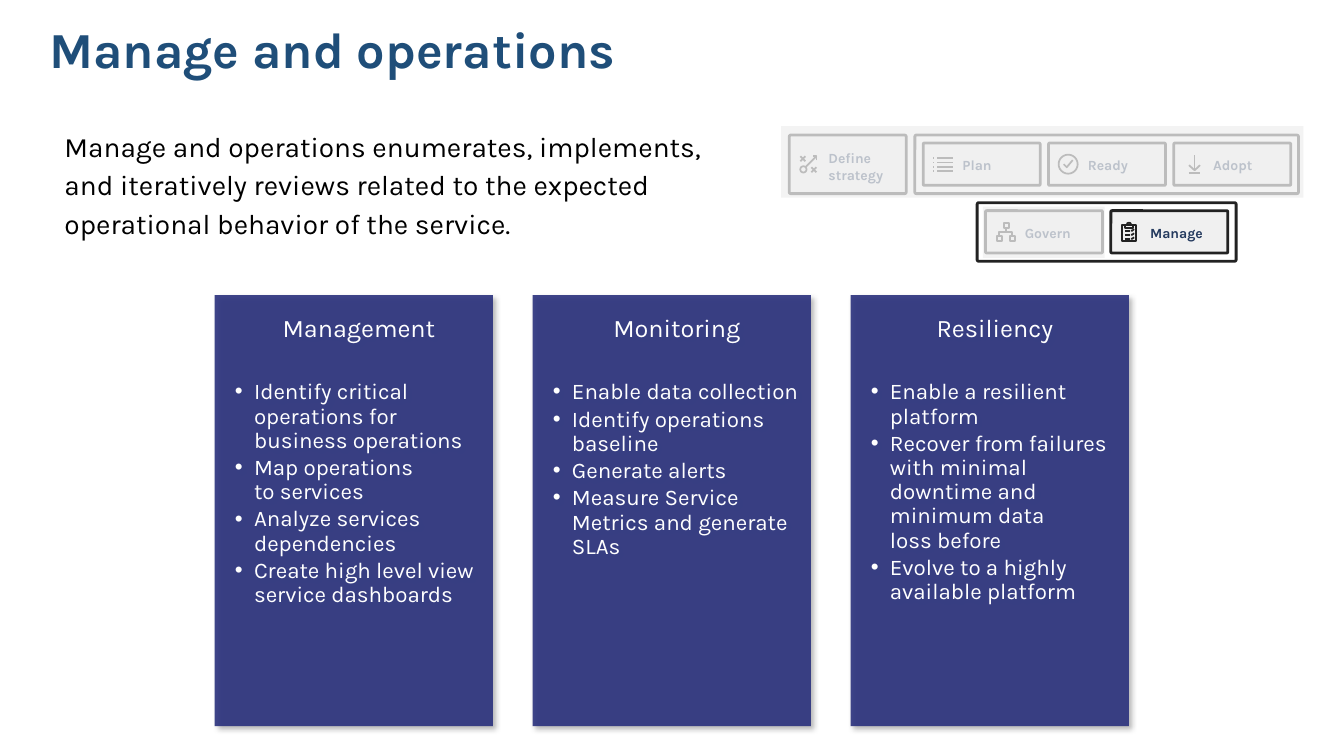
"""Build the "Manage and operations" slide."""
import math

from lxml import etree
from pptx import Presentation
from pptx.dml.color import RGBColor
from pptx.enum.shapes import MSO_SHAPE
from pptx.enum.text import MSO_ANCHOR, MSO_AUTO_SIZE, PP_ALIGN
from pptx.oxml.ns import qn
from pptx.util import Pt

RECTANGLE = MSO_SHAPE.RECTANGLE
ROUNDED = MSO_SHAPE.ROUNDED_RECTANGLE
TOP, MIDDLE = MSO_ANCHOR.TOP, MSO_ANCHOR.MIDDLE
LEFT, CENTER = PP_ALIGN.LEFT, PP_ALIGN.CENTER
NO_FIT, GROW = MSO_AUTO_SIZE.NONE, MSO_AUTO_SIZE.SHAPE_TO_FIT_TEXT

BLACK = RGBColor(0x00, 0x00, 0x00)
WHITE = RGBColor(0xFF, 0xFF, 0xFF)
TITLE_BLUE = RGBColor(0x1F, 0x4E, 0x79)
CARD_BLUE = RGBColor(0x2A, 0x31, 0x7D)
LABEL_BLUE = RGBColor(0x24, 0x3A, 0x5E)
TILE_GREY = RGBColor(0xF0, 0xF0, 0xF0)
OUTLINE = RGBColor(0x22, 0x22, 0x22)

TILE_WIDTH, TILE_HEIGHT, FRAME_HEIGHT = 83.5, 30.2, 41.8
TILE_PITCH = 89.5

CARDS = [
    ("Management", ["Identify critical operations for\vbusiness operations",
                    "Map operations\vto services",
                    "Analyze services dependencies",
                    "Create high level view service dashboards"]),
    ("Monitoring", ["Enable data collection",
                    "Identify operations baseline",
                    "Generate alerts",
                    "Measure Service Metrics and generate SLAs"]),
    ("Resiliency", ["Enable a resilient platform",
                    "Recover from failures with minimal downtime and\v"
                    "minimum data\vloss before",
                    "Evolve to a highly available platform"]),
]


def circle(x, y, radius):
    """Return a closed ring of points."""
    angles = [math.radians(15 * step) for step in range(25)]
    return [(x + radius * math.cos(a), y + radius * math.sin(a)) for a in angles]


def box(x, y, width, height):
    """Return the closed outline of a box."""
    return [(x, y), (x + width, y), (x + width, y + height), (x, y + height), (x, y)]


def cross(x, y, size):
    """Return the two strokes of a cross."""
    return [[(x, y), (x + size, y + size)], [(x + size, y), (x, y + size)]]


STRATEGY_ICON = [*cross(7.9, 15.1, 3.6), *cross(15.8, 23, 3.6), circle(10.1, 24.5, 2.2),
                 [(11.5, 23), (19.4, 15.1)], [(19.4, 18), (19.4, 15.1), (17.3, 15.1)]]
PLAN_ICON = [[(start, 10.8 + 3.1 * row), (end, 10.8 + 3.1 * row)]
             for row in range(4) for start, end in ((10.1, 20.9), (7.2, 7.9))]
READY_ICON = [circle(14, 15.1, 6.8), [(10.8, 15.1), (13, 17.3), (17.3, 12.2)]]
ADOPT_ICON = [[(18.7, 15.8), (14.8, 19.4), (10.8, 15.8)],
              [(14.8, 19.4), (14.8, 8.6)], [(10.8, 21.6), (18.7, 21.6)]]
GOVERN_ICON = [box(7.9, 18, 3.6, 3.6), box(17.3, 18, 3.6, 3.6), box(13, 8.6, 3.6, 3.6),
               [(14.8, 12.2), (14.8, 15.1)],
               [(19.1, 18), (19.1, 15.1), (9.7, 15.1), (9.7, 18)]]
MANAGE_ICON = [box(10.1, 10.1, 5.7, 2.1),
               [(11.5, 10.1), (11.8, 8.9), (13, 8.6), (14.1, 8.9), (14.4, 10.1)],
               [(10.1, 10.1), (7.9, 10.1), (7.9, 21.6), (18, 21.6), (18, 10.1), (15.8, 10.1)]]
for check_y in (14.4, 17.3, 20.2):
    MANAGE_ICON += [[(10.1, check_y), (13.7, check_y)],
                    [(14.4, check_y - 0.4), (15.1, check_y), (16.6, check_y - 1.2)]]


class SlideBuilder:
    """Hold the style and the slide, and draw each kind of element."""

    font_name = "Karla"

    def __init__(self, slide):
        self.slide = slide

    def apply(self, target, values):
        """Set each named value on the target."""
        for name, value in values.items():
            setattr(target, name, value)

    def fill_paragraph(self, paragraph, text, size, color, bold=False, **values):
        """Fill a paragraph with styled text."""
        paragraph.text = text
        self.apply(paragraph, values)
        for run in paragraph.runs:
            self.apply(run.font, {"name": self.font_name, "size": Pt(size), "bold": bold})
            run.font.color.rgb = color
        for line_break in paragraph._p.findall(qn("a:br")):
            etree.SubElement(line_break, qn("a:rPr"), sz=str(size * 100))

    def frame(self, shape, insets, anchor=TOP, auto_size=NO_FIT):
        """Prepare the text frame of a shape."""
        left, top, right, bottom = map(Pt, insets)
        self.apply(shape.text_frame, {
            "word_wrap": True, "auto_size": auto_size, "vertical_anchor": anchor,
            "margin_left": left, "margin_top": top,
            "margin_right": right, "margin_bottom": bottom})
        return shape.text_frame

    def text(self, bounds, insets, text, size, color, anchor=TOP, auto_size=GROW, **values):
        """Add a text box with one paragraph."""
        shape = self.slide.shapes.add_textbox(*map(Pt, bounds))
        frame = self.frame(shape, insets, anchor, auto_size)
        self.fill_paragraph(frame.paragraphs[0], text, size, color, **values)

    def block(self, kind, bounds, fill=None, opacity=100, outlined=False):
        """Add a preset shape."""
        shape = self.slide.shapes.add_shape(kind, *map(Pt, bounds))
        shape.shadow.inherit = False
        if kind == ROUNDED:
            shape.adjustments[0] = 0.025
        if fill is None:
            shape.fill.background()
        else:
            shape.fill.solid()
            shape.fill.fore_color.rgb = fill
        if opacity < 100:
            color = shape._element.spPr.find(qn("a:solidFill"))[0]
            etree.SubElement(color, qn("a:alpha"), val=str(opacity * 1000))
        if outlined:
            self.outline(shape, 2)
        else:
            shape.line.fill.background()
        return shape

    def outline(self, shape, width):
        """Give a shape the dark outline."""
        shape.line.color.rgb = OUTLINE
        shape.line.width = Pt(width)

    def icon(self, left, top, strokes):
        """Draw strokes as one unfilled freeform."""
        placed = [[(Pt(left + x), Pt(top + y)) for x, y in stroke] for stroke in strokes]
        builder = self.slide.shapes.build_freeform(*placed[0][0], scale=1.0)
        builder.add_line_segments(placed[0][1:], close=False)
        for stroke in placed[1:]:
            builder.move_to(*stroke[0])
            builder.add_line_segments(stroke[1:], close=False)
        shape = builder.convert_to_shape()
        shape.shadow.inherit = False
        shape.fill.background()
        self.outline(shape, 1.25)

    def tile(self, left, top, label, strokes, height=TILE_HEIGHT, lines=1):
        """Add a tile with its icon and label."""
        self.block(ROUNDED, (left, top, TILE_WIDTH, height), TILE_GREY, outlined=True)
        self.icon(left, top, strokes)
        label_height = 10.8 * lines
        label_top = top + (height - label_height) / 2 + 0.2
        self.text((left - 0.8, label_top, 85, label_height), (28.8, 0, 0, 0),
                  label, 10, LABEL_BLUE, bold=True)

    def card(self, left, heading, points):
        """Add a card with a heading and bullets."""
        shape = self.block(RECTANGLE, (left, 210.8, 198.7, 307.8), CARD_BLUE, opacity=90)
        effects = shape._element.spPr.find(qn("a:effectLst"))
        shadow = etree.SubElement(effects, qn("a:outerShdw"), blurRad=str(Pt(4)),
                                  dist=str(Pt(3)), dir="2700000", algn="tl", rotWithShape="0")
        color = etree.SubElement(shadow, qn("a:srgbClr"), val=str(BLACK))
        etree.SubElement(color, qn("a:alpha"), val="30000")
        frame = self.frame(shape, (14.4, 14.4, 7.2, 0))
        self.fill_paragraph(frame.paragraphs[0], heading, 18, WHITE, alignment=CENTER,
                            line_spacing=0.9, space_after=Pt(27.2))
        for point in points:
            paragraph = frame.add_paragraph()
            self.fill_paragraph(paragraph, point, 16, WHITE, alignment=LEFT,
                                line_spacing=0.9, space_after=Pt(2.2))
            self.bullet(paragraph._p.get_or_add_pPr())

    def bullet(self, properties):
        """Add a hanging bullet to paragraph properties."""
        properties.set("marL", str(Pt(13.7)))
        properties.set("indent", str(Pt(-13.7)))
        etree.SubElement(properties, qn("a:buFont"), typeface="Arial")
        etree.SubElement(properties, qn("a:buChar"), char="•")


def main():
    """Build and save the presentation."""
    presentation = Presentation()
    presentation.slide_width, presentation.slide_height = Pt(960), Pt(540)
    builder = SlideBuilder(presentation.slides.add_slide(presentation.slide_layouts[6]))
    builder.text((28.1, 10.8, 892.8, 53.3), (7.2, 3.6, 7.2, 3.6), "Manage and operations",
                 36, TITLE_BLUE, MIDDLE, NO_FIT, bold=True, line_spacing=0.9)
    for index, (heading, points) in enumerate(CARDS):
        builder.card(153.4 + 227.1 * index, heading, points)
    builder.text((46.1, 85.7, 480.2, 90), (0, 3.6, 7.2, 3.6),
                 "Manage and operations enumerates, implements, and iteratively reviews "
                 "related to the expected operational behavior of the service.",
                 20, BLACK, line_spacing=1.14)
    builder.block(ROUNDED, (653.5, 96.5, 274, FRAME_HEIGHT), outlined=True)
    steps = [("Plan", PLAN_ICON), ("Ready", READY_ICON), ("Adopt", ADOPT_ICON)]
    for index, (label, strokes) in enumerate(steps):
        builder.tile(659.5 + TILE_PITCH * index, 102.2, label, strokes)
    builder.tile(563.8, 96.5, "Define strategy", STRATEGY_ICON, FRAME_HEIGHT, lines=2)
    builder.block(ROUNDED, (698, 144.8, 185, FRAME_HEIGHT), outlined=True)
    for index, (label, strokes) in enumerate([("Govern", GOVERN_ICON), ("Manage", MANAGE_ICON)]):
        builder.tile(704 + TILE_PITCH * index, 150.5, label, strokes)
    for veil in ((558, 90, 373, 51.1), (702, 147.6, 87.1, 36.7)):
        builder.block(RECTANGLE, veil, TILE_GREY, opacity=75)
    presentation.save("out.pptx")


if __name__ == "__main__":
    main()
